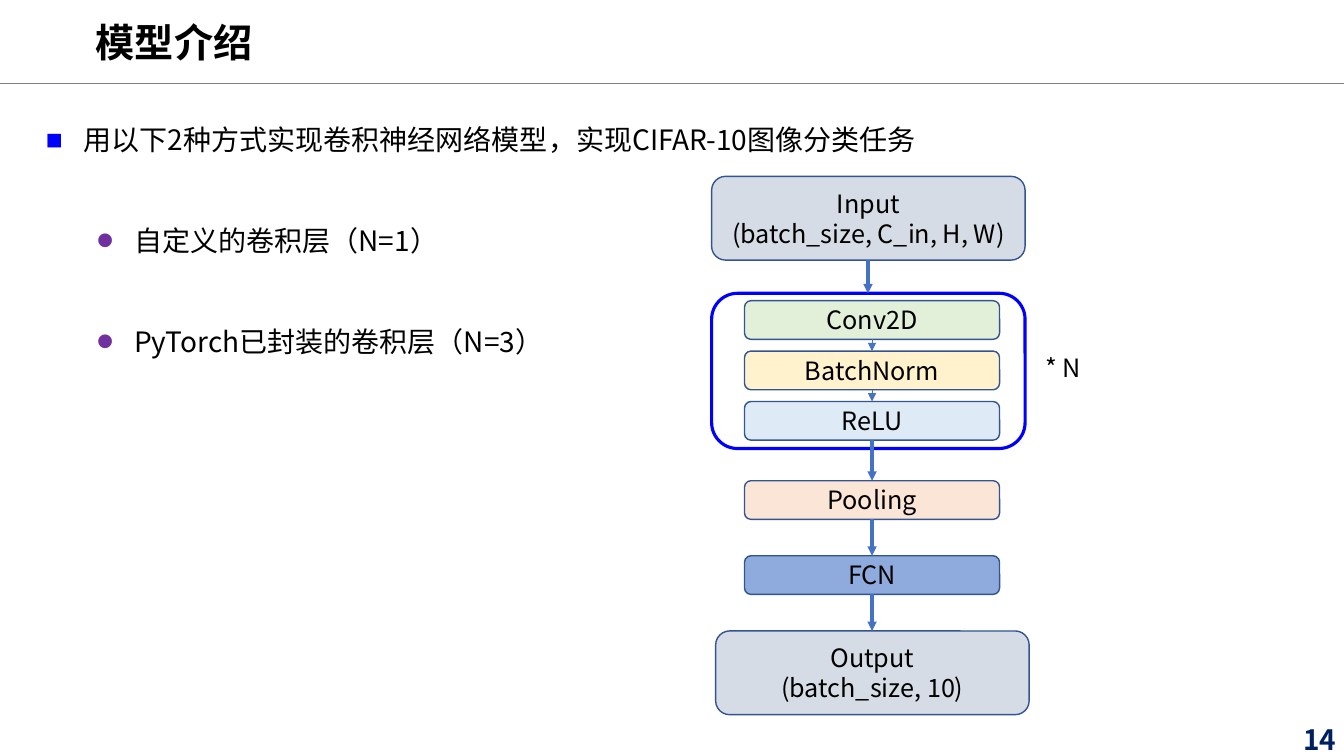
"""Build the slide that introduces the network model."""
from itertools import pairwise

from lxml.etree import SubElement as Sub
from pptx import Presentation
from pptx.dml.color import RGBColor as RGB
from pptx.enum.shapes import MSO_CONNECTOR as Link, MSO_SHAPE as Kind
from pptx.enum.text import MSO_ANCHOR as Anchor, MSO_AUTO_SIZE as Fit, PP_ALIGN as Align
from pptx.oxml.ns import qn
from pptx.util import Pt

FACE = "Noto Sans CJK SC"
BLACK, NAVY = RGB(0, 0, 0), RGB(0x00, 0x20, 0x60)
BLUE, PURPLE = RGB(0, 0, 0xFF), RGB(0x70, 0x30, 0xA0)
EDGE, ARROW = RGB(0x32, 0x54, 0x91), RGB(0x44, 0x72, 0xC4)
GRAY, SLATE = RGB(0x80, 0x80, 0x80), RGB(0xD6, 0xDC, 0xE5)
GREEN, CREAM = RGB(0xE2, 0xF0, 0xD9), RGB(0xFF, 0xF2, 0xCC)
PALE, PEACH = RGB(0xDE, 0xEB, 0xF7), RGB(0xFB, 0xE5, 0xD6)
STEEL = RGB(0x8F, 0xAA, 0xDC)

TITLE = "模型介绍"
POINTS = [
    ("用以下2种方式实现卷积神经网络模型，实现CIFAR-10图像分类任务", 0),
    ("自定义的卷积层（N=1）", 1),
    ("PyTorch已封装的卷积层（N=3）", 1),
]
MARKS = [("■", BLUE, 100, 27), ("•", PURPLE, 180, 63)]
INPUT = ("Input", "(batch_size, C_in, H, W)")
OUTPUT = ("Output", "(batch_size, 10)")
LAYERS = [
    ("Conv2D", 214.8, GREEN),
    ("BatchNorm", 250.8, CREAM),
    ("ReLU", 286.8, PALE),
    ("Pooling", 343.4, PEACH),
    ("FCN", 397, STEEL),
]
REPEAT, NUMBER = "* N", "14"

LEFT, WIDE, HIGH = 531.8, 182.2, 27.6
ENDS, TALL = 223.9, 59.8
TOP, LAST = 126, 450.7
FRAME = (508.3, 209.5, ENDS, 110.9)
HANG, STEP = 27, 36
MID, ENTRY = LEFT + WIDE / 2, 620

BODY = {"size": Pt(20), "bold": False, "name": FACE}
HEAD = {"size": Pt(28), "bold": True, "name": FACE}
LABEL = {"size": Pt(18), "name": FACE}
PAGE = {"size": Pt(20), "bold": True, "name": FACE}


def assign(item, values):
    """Set each named attribute of the item."""
    for key, value in values.items():
        setattr(item, key, value)


def place(shape, left, top, width, height):
    """Move and size a shape in points."""
    names = ("left", "top", "width", "height")
    assign(shape, dict(zip(names, map(Pt, (left, top, width, height)))))


def write(para, text, style, pitch, color=BLACK, align=Align.LEFT):
    """Fill one paragraph with a styled run."""
    assign(para, {"alignment": align, "line_spacing": Pt(pitch), "space_before": Pt(0)})
    run = para.add_run()
    run.text = text
    assign(run.font, style)
    run.font.color.rgb = color
    Sub(run.font._element, qn("a:ea"), typeface=FACE)


def bullet(para, mark, color, scale, indent):
    """Give a paragraph its hanging bullet."""
    props = para._p.get_or_add_pPr()
    props.set("marL", str(Pt(indent)))
    props.set("indent", str(-Pt(HANG)))
    tint = Sub(props, qn("a:buClr"))
    Sub(tint, qn("a:srgbClr"), val=str(color))
    Sub(props, qn("a:buSzPct"), val=str(scale * 1000))
    Sub(props, qn("a:buFont"), typeface="Arial")
    Sub(props, qn("a:buChar"), char=mark)


def box(slide, area, fill, lines=(), edge=EDGE, weight=1):
    """Draw a rounded box with centred lines."""
    shape = slide.shapes.add_shape(Kind.ROUNDED_RECTANGLE, *map(Pt, area))
    shape.shadow.inherit = False
    if fill is None:
        shape.fill.background()
    else:
        shape.fill.solid()
        shape.fill.fore_color.rgb = fill
    shape.line.color.rgb = edge
    shape.line.width = Pt(weight)
    frame = shape.text_frame
    assign(frame, {"vertical_anchor": Anchor.MIDDLE, "word_wrap": True})
    for i, text in enumerate(lines):
        para = frame.add_paragraph() if i else frame.paragraphs[0]
        write(para, text, LABEL, 21.4, align=Align.CENTER)


def link(slide, start, end, color, weight, head=True):
    """Draw a straight line, with an arrowhead if asked."""
    line = slide.shapes.add_connector(Link.STRAIGHT, *map(Pt, start + end))
    line.line.color.rgb = color
    line.line.width = Pt(weight)
    if head:
        Sub(line.line._get_or_add_ln(), qn("a:tailEnd"), type="triangle")
    Sub(line._element.spPr, qn("a:effectLst"))


def note(slide, area, text, style, pitch, color=BLACK):
    """Add a one-line text box without side margins."""
    frame = slide.shapes.add_textbox(*map(Pt, area)).text_frame
    assign(frame, {"word_wrap": False, "margin_left": Pt(0), "margin_right": Pt(0)})
    write(frame.paragraphs[0], text, style, pitch, color)


def prose(slide):
    """Fill the title and the list."""
    title, body = slide.placeholders
    place(title, 61.2, 9.4, 878.4, 41)
    place(body, 25.6, 72, 647.3, 185)
    for shape in (title, body):
        assign(shape.text_frame, {"vertical_anchor": Anchor.TOP,
                                  "word_wrap": True, "auto_size": Fit.NONE})
    write(title.text_frame.paragraphs[0], TITLE, HEAD, 34)
    frame = body.text_frame
    for i, (text, level) in enumerate(POINTS):
        para = frame.add_paragraph() if i else frame.paragraphs[0]
        para.level = level
        bullet(para, *MARKS[level])
        write(para, text, BODY, STEP)
        para.space_before = Pt(STEP if i else 0)


def chart(slide):
    """Draw the boxes of the network and join them."""
    box(slide, FRAME, None, edge=BLUE, weight=2.25)
    box(slide, (FRAME[0], TOP, ENDS, TALL), SLATE, INPUT)
    for name, top, fill in LAYERS:
        box(slide, (LEFT, top, WIDE, HIGH), fill, [name])
    box(slide, (511.2, LAST, ENDS, TALL), SLATE, OUTPUT)
    link(slide, (ENTRY, TOP + TALL), (ENTRY, FRAME[1]), ARROW, 2.25)
    tops = [top for _, top, _ in LAYERS] + [LAST]
    for above, below in pairwise(tops):
        start = above + HIGH
        weight = 0.5 if below - start < 10 else 2.25
        link(slide, (MID, start), (MID, below), ARROW, weight)
    note(slide, (746.6, 248.4, 36, 28.8), REPEAT, LABEL, 21.4)


def main():
    """Build and save the deck."""
    deck = Presentation()
    assign(deck, {"slide_width": Pt(960), "slide_height": Pt(540)})
    slide = deck.slides.add_slide(deck.slide_layouts[1])
    link(slide, (0, 59.8), (960, 59.8), GRAY, 0.75, head=False)
    note(slide, (931, 512.6, 29, 27), NUMBER, PAGE, 23.8, NAVY)
    prose(slide)
    chart(slide)
    deck.save("out.pptx")


if __name__ == "__main__":
    main()
